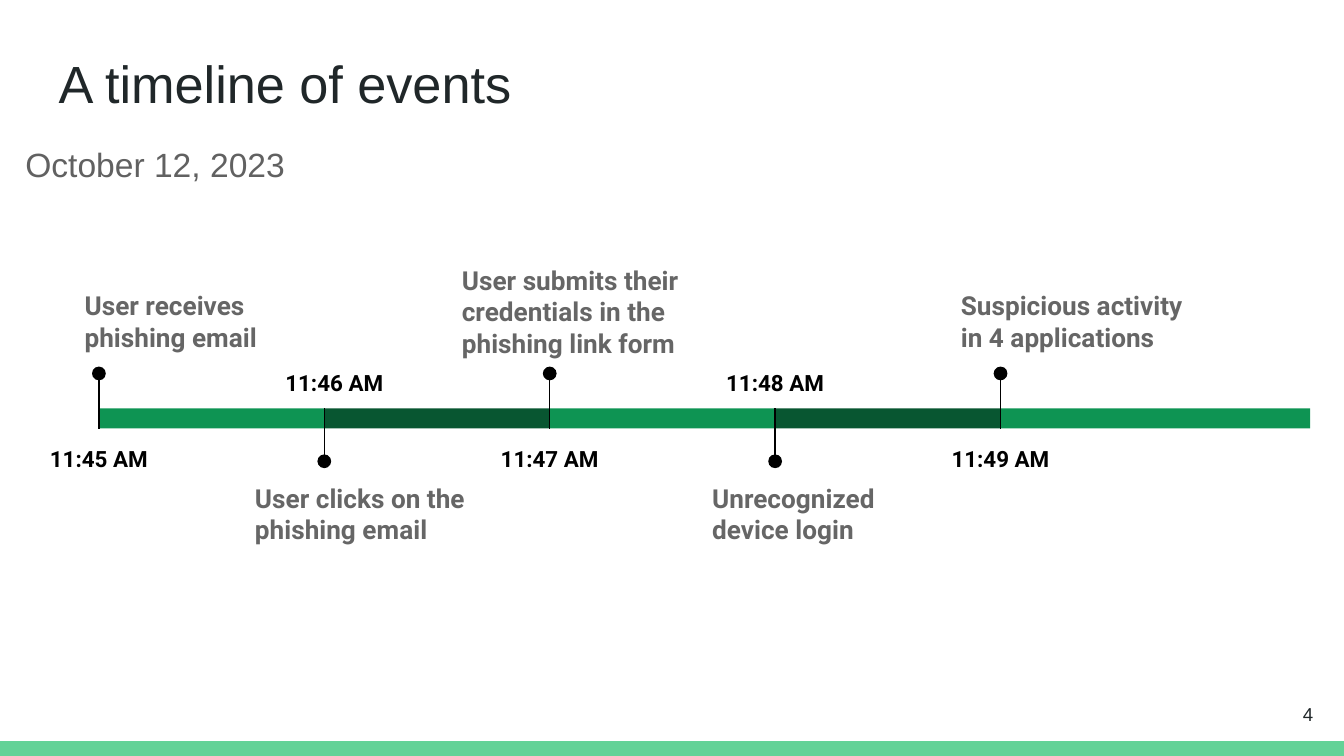
from dataclasses import dataclass

import pptx
import pptx.dml.color
import pptx.enum.shapes
import pptx.enum.text
import pptx.oxml
import pptx.oxml.ns
import pptx.util
from pptx.util import Cm

ALIGN = pptx.enum.text.PP_ALIGN
ANCHOR = pptx.enum.text.MSO_ANCHOR
SHAPE = pptx.enum.shapes.MSO_SHAPE

SLIDE_WIDTH, SLIDE_HEIGHT = 25.4, 14.29
BAR_LEFT, BAR_TOP, BAR_HEIGHT = 1.87, 7.72, 0.38
BAR_BOTTOM = BAR_TOP + BAR_HEIGHT
STEP, LAST_WIDTH = 4.26, 5.85
DOT_SIZE = 0.26
TIME_WIDTH, TIME_HEIGHT = 2.65, 1.04
EVENT_WIDTH, EVENT_HEIGHT = 4.95, 2.62


@dataclass
class Event:
    time: str
    label: str
    label_left: float
    label_top: float
    time_shift: float = 0


@dataclass
class Style:
    size: float
    color: str
    font: str = "Arial"
    bold: bool = False
    align: ALIGN = ALIGN.LEFT
    anchor: ANCHOR = ANCHOR.TOP
    line_spacing: float = 1.0


TITLE = Style(28, "202729", line_spacing=0.9)
DATE = Style(18, "616161", line_spacing=1.15)
TIME = Style(12, "000000", "Roboto", True, ALIGN.CENTER, line_spacing=1.15)
LABEL = Style(14, "666666", "Roboto", True)
PAGE_NUMBER = Style(10, "202729", align=ALIGN.RIGHT, anchor=ANCHOR.MIDDLE)

EVENTS = [
    Event("11:45 AM", "User receives phishing email", 1.35, 5.23),
    Event("11:46 AM", "User clicks on the phishing email", 4.57, 8.86, 0.19),
    Event("11:47 AM", "User submits their credentials in the phishing link form", 8.48, 4.75),
    Event("11:48 AM", "Unrecognized device login", 13.21, 8.86),
    Event("11:49 AM", "Suspicious activity in 4 applications", 17.91, 5.23),
]


def rgb(color: str) -> pptx.dml.color.RGBColor:
    return pptx.dml.color.RGBColor.from_string(color)


def add_text(page, text: str, left: float, top: float, width: float, height: float, style: Style) -> None:
    box = page.shapes.add_textbox(Cm(left), Cm(top), Cm(width), Cm(height))
    frame = box.text_frame
    frame.word_wrap = True
    frame.vertical_anchor = style.anchor
    frame.margin_left = frame.margin_right = Cm(0.25)
    frame.margin_top = frame.margin_bottom = Cm(0.25)
    frame.text = text
    para = frame.paragraphs[0]
    para.alignment = style.align
    para.line_spacing = style.line_spacing
    span = para.runs[0]
    span.font.name = style.font
    span.font.size = pptx.util.Pt(style.size)
    span.font.bold = style.bold
    span.font.color.rgb = rgb(style.color)


def add_fill(page, kind: SHAPE, left: float, top: float, width: float, height: float, color: str) -> None:
    shape = page.shapes.add_shape(kind, Cm(left), Cm(top), Cm(width), Cm(height))
    shape.shadow.inherit = False
    shape.fill.solid()
    shape.fill.fore_color.rgb = rgb(color)
    shape.line.fill.background()


def add_pin(page, x: float, dot_middle: float, bar_edge: float) -> None:
    line = page.shapes.add_connector(
        pptx.enum.shapes.MSO_CONNECTOR.STRAIGHT, Cm(x), Cm(dot_middle), Cm(x), Cm(bar_edge)
    )
    line.line.color.rgb = rgb("000000")
    line.line.width = pptx.util.Pt(0.75)
    properties = line._element.spPr
    properties.append(pptx.oxml.parse_xml(f"<a:effectLst {pptx.oxml.ns.nsdecls('a')}/>"))
    radius = DOT_SIZE / 2
    add_fill(page, SHAPE.OVAL, x - radius, dot_middle - radius, DOT_SIZE, DOT_SIZE, "000000")


def add_event(page, index: int, event: Event) -> None:
    x = BAR_LEFT + STEP * index
    above = index % 2 == 0
    width = LAST_WIDTH if index == len(EVENTS) - 1 else STEP
    color = "0E9453" if above else "085631"
    add_fill(page, SHAPE.RECTANGLE, x, BAR_TOP, width, BAR_HEIGHT, color)
    if above:
        add_pin(page, x, 7.06, BAR_BOTTOM)
    else:
        add_pin(page, x, 8.72, BAR_TOP)
    time_left = x + event.time_shift - TIME_WIDTH / 2
    time_top = 8.08 if above else 6.66
    add_text(page, event.time, time_left, time_top, TIME_WIDTH, TIME_HEIGHT, TIME)
    add_text(page, event.label, event.label_left, event.label_top, EVENT_WIDTH, EVENT_HEIGHT, LABEL)


def main() -> None:
    deck = pptx.Presentation()
    deck.slide_width = Cm(SLIDE_WIDTH)
    deck.slide_height = Cm(SLIDE_HEIGHT)
    page = deck.slides.add_slide(deck.slide_layouts[6])
    add_fill(page, SHAPE.RECTANGLE, 0, 14.01, SLIDE_WIDTH, 0.28, "63D297")
    add_text(page, "October 12, 2023", 0.23, 2.36, 23.67, 9.5, DATE)
    for index, event in enumerate(EVENTS):
        add_event(page, index, event)
    add_text(page, "A timeline of events", 0.86, 0.86, 23.67, 1.6, TITLE)
    add_text(page, "4", 23.55, 12.95, 1.52, 1.09, PAGE_NUMBER)
    deck.save("out.pptx")


if __name__ == "__main__":
    main()
